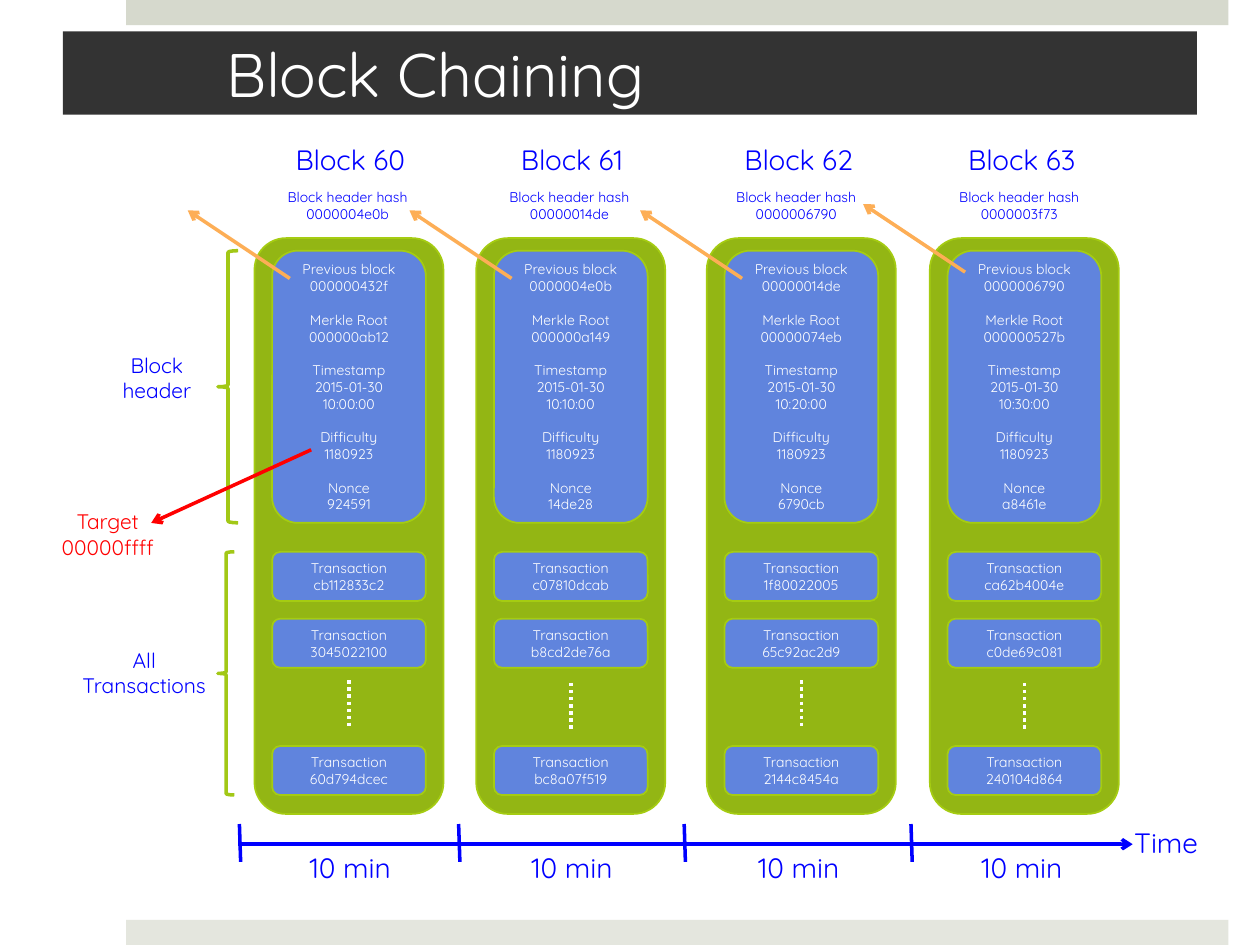
from collections import namedtuple
from dataclasses import dataclass

from pptx import Presentation
from pptx.dml.color import RGBColor
from pptx.enum.dml import MSO_LINE
from pptx.enum.shapes import MSO_CONNECTOR, MSO_SHAPE
from pptx.enum.text import MSO_ANCHOR, MSO_AUTO_SIZE, PP_ALIGN
from pptx.oxml.ns import qn
from pptx.util import Inches, Pt
from lxml.etree import SubElement


@dataclass(frozen=True)
class Theme:
    font: str = "Quicksand"
    top_strip: str = "D6D9CD"
    bottom_strip: str = "E4E6DE"
    banner: str = "333333"
    white: str = "FFFFFF"
    blue: str = "0000FF"
    red: str = "FF0000"
    orange: str = "FDAE56"
    block: str = "93B614"
    block_edge: str = "A5CC12"
    field: str = "6084DD"
    brace: str = "A2C816"
    title_size: float = 35.1
    heading_size: float = 16
    label_size: float = 12
    small_size: float = 8
    edge: float = 1
    stroke: float = 2


THEME = Theme()
Box = namedtuple("Box", "left top width height")
Block = namedtuple("Block", "left column arrow_top dots_top hash merkle nonce transactions")

FIRST_PREVIOUS = "000000432f"
BLOCKS = [
    Block(2.02, 1.91, 2.21, 5.40, "0000004e0b", "000000ab12", "924591",
          ("cb112833c2", "3045022100", "60d794dcec")),
    Block(3.78, 3.67, 2.21, 5.42, "00000014de", "000000a149", "14de28",
          ("c07810dcab", "b8cd2de76a", "bc8a07f519")),
    Block(5.61, 5.47, 2.21, 5.40, "0000006790", "00000074eb", "6790cb",
          ("1f80022005", "65c92ac2d9", "2144c8454a")),
    Block(7.38, 7.24, 2.16, 5.42, "0000003f73", "0000527b".rjust(10, "0"), "a8461e",
          ("ca62b4004e", "c0de69c081", "240104d864")),
]
COLUMN_WIDTH = 1.74
TICKS = (1.9, 3.64, 5.43, 7.23)


def inches(box):
    return [Inches(length) for length in box]


def write(frame, groups, size, color, align=PP_ALIGN.CENTER):
    """Write groups of lines, with one empty line's height between groups."""
    frame.word_wrap = True
    first = True
    for group in groups:
        for row, line in enumerate(group):
            paragraph = frame.paragraphs[0] if first else frame.add_paragraph()
            paragraph.alignment = align
            if row == 0 and not first:
                paragraph.space_before = Pt(size * 1.2)
            run = paragraph.add_run()
            run.text = line
            values = {"name": THEME.font, "size": Pt(size)}
            for key, value in values.items():
                setattr(run.font, key, value)
            run.font.color.rgb = RGBColor.from_string(color)
            first = False


def add_label(slide, box, lines, size, color=THEME.blue):
    label = slide.shapes.add_textbox(*inches(box))
    write(label.text_frame, [lines], size, color)
    label.text_frame.auto_size = MSO_AUTO_SIZE.SHAPE_TO_FIT_TEXT


def add_panel(slide, kind, box, fill=None, edge=None, weight=THEME.edge):
    panel = slide.shapes.add_shape(kind, *inches(box))
    panel.shadow.inherit = False
    if fill:
        panel.fill.solid()
        panel.fill.fore_color.rgb = RGBColor.from_string(fill)
    else:
        panel.fill.background()
    if edge:
        panel.line.color.rgb = RGBColor.from_string(edge)
        panel.line.width = Pt(weight)
    else:
        panel.line.fill.background()
    return panel


def add_line(slide, start, end, color, arrow=False, dash=None):
    line = slide.shapes.add_connector(MSO_CONNECTOR.STRAIGHT, *inches(start + end))
    line.line.color.rgb = RGBColor.from_string(color)
    line.line.width = Pt(THEME.stroke)
    if dash:
        line.line.dash_style = dash
    properties = line._element.spPr
    if arrow:
        SubElement(properties.find(qn("a:ln")), qn("a:tailEnd"), type="arrow")
    SubElement(properties, qn("a:effectLst"))


def add_field(slide, box, groups):
    field = add_panel(slide, MSO_SHAPE.ROUNDED_RECTANGLE, box, THEME.field, THEME.block_edge)
    field.text_frame.vertical_anchor = MSO_ANCHOR.MIDDLE
    write(field.text_frame, groups, THEME.small_size, THEME.white)


def add_frame(slide, box):
    """Place the strips at the slide's edges and the title banner."""
    strip_height = 0.2
    for top, color in ((box.top, THEME.top_strip),
                       (box.top + box.height - strip_height, THEME.bottom_strip)):
        strip = Box(box.left + 1, top, 8.75, strip_height)
        add_panel(slide, MSO_SHAPE.RECTANGLE, strip, color)
    banner = add_panel(slide, MSO_SHAPE.RECTANGLE,
                       Box(box.left + 0.5, box.top + 0.25, box.width - 1, 0.66), THEME.banner)
    frame = banner.text_frame
    frame.margin_left, frame.margin_right = Inches(1.3), Inches(0.3)
    frame.vertical_anchor = MSO_ANCHOR.MIDDLE
    write(frame, [["Block Chaining"]], THEME.title_size, THEME.white, PP_ALIGN.LEFT)


def add_timeline(slide, box):
    middle = box.top + 0.16
    right = box.left + box.width
    add_line(slide, (box.left, middle), (right, middle), THEME.blue, arrow=True)
    add_label(slide, Box(right - 0.25, box.top - 0.04, 1.03, 0.37), ["Time"], THEME.heading_size)
    for tick in TICKS:
        add_line(slide, (tick, box.top), (tick + 0.01, box.top + box.height), THEME.blue)
    for block in BLOCKS:
        add_label(slide, Box(block.column, middle, COLUMN_WIDTH, 0.37),
                  ["10 min"], THEME.heading_size)


def add_block(slide, box, block, index, previous):
    add_panel(slide, MSO_SHAPE.ROUNDED_RECTANGLE, box, THEME.block, THEME.block_edge)
    inner_left, inner_width = box.left + 0.14, box.width - 0.28
    for offset, transaction in zip((2.49, 3.02, 4.03), block.transactions):
        add_field(slide, Box(inner_left, box.top + offset, inner_width, 0.39),
                  [["Transaction", transaction]])
    add_field(slide, Box(inner_left, box.top + 0.1, inner_width, 2.16), [
        ["Previous block", previous],
        ["Merkle Root", block.merkle],
        ["Timestamp", f"2015-01-30 10:{index}0:00"],
        ["Difficulty", "1180923"],
        ["Nonce", block.nonce],
    ])
    add_label(slide, Box(block.column, box.top - 0.81, COLUMN_WIDTH, 0.37),
              [f"Block {60 + index}"], THEME.heading_size)
    add_label(slide, Box(block.column - 0.02, box.top - 0.44, COLUMN_WIDTH, 0.37),
              ["Block header hash", block.hash], THEME.small_size)
    tail = box.left + 0.28
    add_line(slide, (tail, block.arrow_top), (tail - 0.81, block.arrow_top - 0.54),
             THEME.orange, arrow=True)
    dots = box.left + box.width / 2
    add_line(slide, (dots, block.dots_top), (dots, block.dots_top + 0.39),
             THEME.white, dash=MSO_LINE.ROUND_DOT)


def add_braced_label(slide, brace, label, lines):
    add_panel(slide, MSO_SHAPE.LEFT_BRACE, brace, edge=THEME.brace, weight=THEME.stroke)
    add_label(slide, label, lines, THEME.label_size)


def add_annotations(slide, box):
    """Name the parts of the first block in the margin on its left."""
    right = box.left + box.width
    add_braced_label(slide, Box(right - 0.16, box.top, 0.16, 2.16),
                     Box(box.left + 0.39, box.top + 0.76, 1.11, 0.5), ["Block", "header"])
    add_braced_label(slide, Box(right - 0.16, box.top + 2.39, 0.13, 1.93),
                     Box(box.left + 0.19, box.top + 3.1, 1.31, 0.5), ["All Transactions"])
    add_label(slide, Box(box.left, box.top + 2, 1.11, 0.5),
              ["Target", "00000ffff"], THEME.label_size, THEME.red)
    add_line(slide, (right + 0.58, box.top + 1.58), (box.left + 0.9, box.top + 2.16),
             THEME.red, arrow=True)


def main():
    deck = Presentation()
    deck.slide_width, deck.slide_height = Inches(10), Inches(7.5)
    slide = deck.slides.add_slide(deck.slide_layouts[6])
    add_frame(slide, Box(0, 0, 10, 7.5))
    add_timeline(slide, Box(1.89, 6.54, 7.1, 0.3))
    previous = FIRST_PREVIOUS
    for index, block in enumerate(BLOCKS):
        add_block(slide, Box(block.left, 1.89, 1.5, 4.57), block, index, previous)
        previous = block.hash
    add_annotations(slide, Box(0.3, 1.99, 1.59, 4.32))
    deck.save("out.pptx")


if __name__ == "__main__":
    main()
